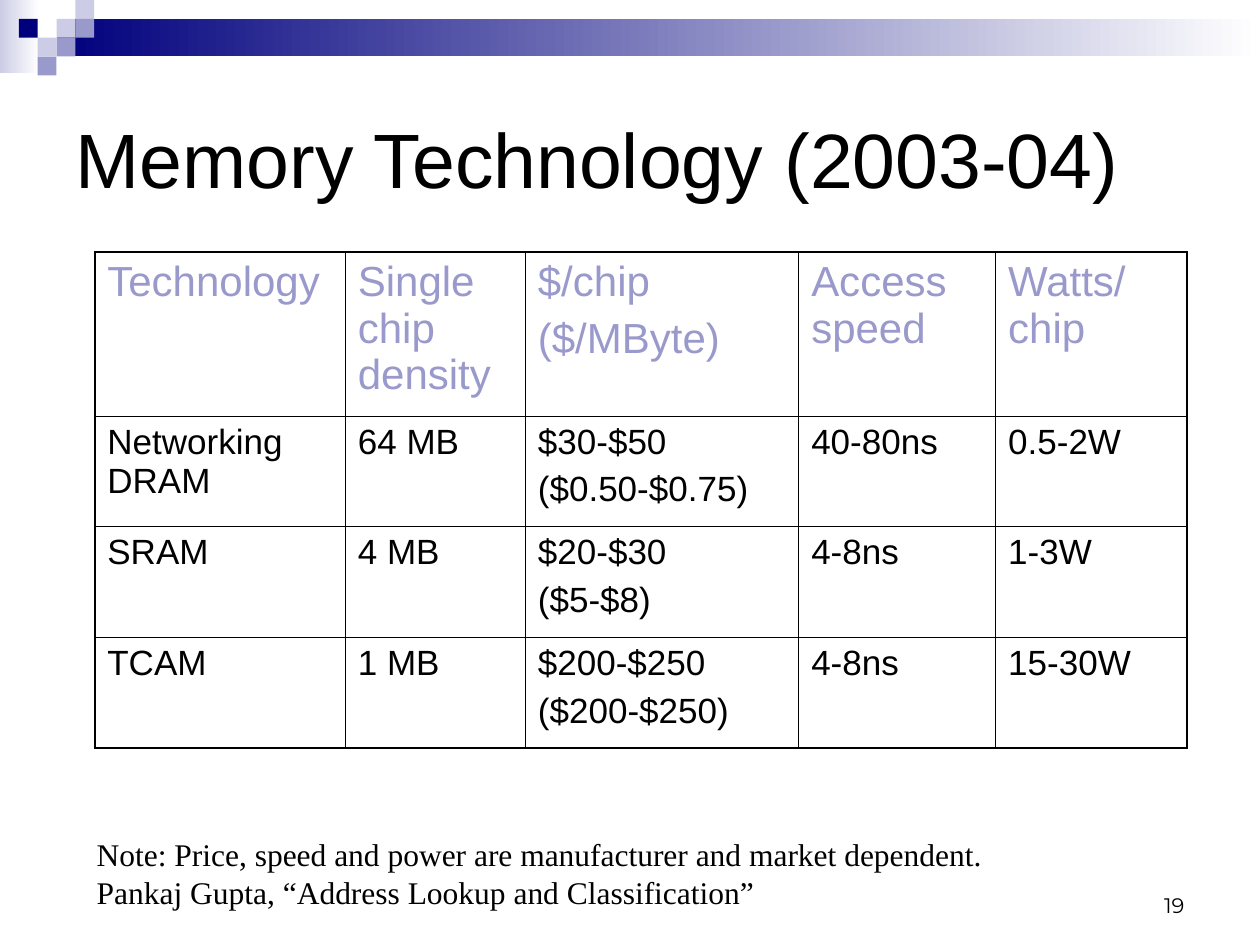
from typing import NamedTuple

from pptx import Presentation, util as u
from pptx.dml.color import RGBColor
from pptx.enum import shapes, text
from pptx.oxml import parse_xml
from pptx.oxml.ns import nsdecls

COLORS = {
    "black": "000000",
    "white": "FFFFFF",
    "navy": "00007D",
    "lavender": "9999CC",
    "pale": "CCCCE6",
}
SQUARE = 0.38
THIN, THICK = 0.45, 1.08


class Square(NamedTuple):
    column: int
    row: int
    color: str


class Band(NamedTuple):
    left: float
    top: float
    width: float
    height: float
    color: str


BANDS = [
    Band(0, 0, 0.79, 1.47, "pale"),
    Band(1.14, SQUARE, 24.26, 0.76, "navy"),
]
SQUARES = [
    Square(3, 1, "pale"),
    Square(4, 0, "pale"),
    Square(4, 1, "lavender"),
    Square(2, 2, "pale"),
    Square(1, 1, "navy"),
    Square(3, 2, "lavender"),
    Square(2, 3, "lavender"),
]
ROWS = [
    ["Technology", "Single chip density", "$/chip\n($/MByte)", "Access speed", "Watts/chip"],
    ["Networking DRAM", "64 MB", "$30-$50\n($0.50-$0.75)", "40-80ns", "0.5-2W"],
    ["SRAM", "4 MB", "$20-$30\n($5-$8)", "4-8ns", "1-3W"],
    ["TCAM", "1 MB", "$200-$250\n($200-$250)", "4-8ns", "15-30W"],
]
COLUMN_WIDTHS = [5.05, 3.63, 5.51, 3.97, 3.86]
ROW_HEIGHTS = [3.31, 2.23, 2.23, 2.23]


def rgb(color: str) -> RGBColor:
    return RGBColor.from_string(COLORS[color])


def write_text(frame, content: str, *, size: float, font: str = "Arial",
               color: str = "black", align=text.PP_ALIGN.LEFT,
               anchor=text.MSO_ANCHOR.TOP, before: float = 0, wrap: bool = True) -> None:
    frame.word_wrap = wrap
    frame.vertical_anchor = anchor
    for index, line in enumerate(content.split("\n")):
        paragraph = frame.add_paragraph() if index else frame.paragraphs[0]
        paragraph.alignment = align
        paragraph.space_before = u.Pt(before)
        run = paragraph.add_run()
        run.text = line
        run.font.size = u.Pt(size)
        run.font.name = font
        run.font.color.rgb = rgb(color)


def add_rectangle(slide, left: float, top: float, width: float, height: float):
    shape = slide.shapes.add_shape(shapes.MSO_SHAPE.RECTANGLE, u.Cm(left), u.Cm(top),
                                   u.Cm(width), u.Cm(height))
    shape.shadow.inherit = False
    shape.line.fill.background()
    return shape


def draw_band(slide, band: Band) -> None:
    fill = add_rectangle(slide, band.left, band.top, band.width, band.height).fill
    fill.gradient()
    fill.gradient_angle = 180
    for stop, color in zip(fill.gradient_stops, ("white", band.color)):
        stop.color.rgb = rgb(color)


def draw_square(slide, square: Square) -> None:
    shape = add_rectangle(slide, square.column * SQUARE, square.row * SQUARE, SQUARE, SQUARE)
    shape.fill.solid()
    shape.fill.fore_color.rgb = rgb(square.color)


def set_borders(cell, widths: dict[str, float]) -> None:
    properties = cell._tc.get_or_add_tcPr()
    for index, (side, width) in enumerate(widths.items()):
        properties.insert(index, parse_xml(
            f'<a:{side} {nsdecls("a")} w="{u.Pt(width)}"><a:solidFill>'
            f'<a:srgbClr val="{COLORS["black"]}"/></a:solidFill></a:{side}>'))


def draw_table(slide) -> None:
    last_row, last_column = len(ROWS) - 1, len(COLUMN_WIDTHS) - 1
    table = slide.shapes.add_table(len(ROWS), len(COLUMN_WIDTHS), u.Cm(1.91), u.Cm(5.08),
                                   u.Cm(sum(COLUMN_WIDTHS)), u.Cm(sum(ROW_HEIGHTS))).table
    table.first_row = table.horz_banding = False
    for column, width in zip(table.columns, COLUMN_WIDTHS):
        column.width = u.Cm(width)
    for row, height in zip(table.rows, ROW_HEIGHTS):
        row.height = u.Cm(height)
    for r, values in enumerate(ROWS):
        style = dict(size=20, before=5) if r else dict(size=24, before=6, color="lavender")
        for c, value in enumerate(values):
            cell = table.cell(r, c)
            cell.fill.background()
            write_text(cell.text_frame, value, **style)
            set_borders(cell, {
                "lnL": THIN if c else THICK,
                "lnR": THICK if c == last_column else THIN,
                "lnT": THIN if r else THICK,
                "lnB": THICK if r == last_row else THIN,
            })


def add_text(slide, content: str, left: float, top: float, width: float, height: float,
             **style) -> None:
    box = slide.shapes.add_textbox(u.Cm(left), u.Cm(top), u.Cm(width), u.Cm(height))
    write_text(box.text_frame, content, **style)


def main() -> None:
    presentation = Presentation()
    presentation.slide_width, presentation.slide_height = u.Cm(25.4), u.Cm(19.05)
    slide = presentation.slides.add_slide(presentation.slide_layouts[5])

    for band in BANDS:
        draw_band(slide, band)
    for square in SQUARES:
        draw_square(slide, square)

    title = slide.shapes.title
    title.left, title.top, title.width, title.height = map(u.Cm, (1.27, 1.27, 22.86, 3.81))
    title.text_frame.auto_size = text.MSO_AUTO_SIZE.NONE
    write_text(title.text_frame, "Memory Technology (2003-04)", size=44,
               anchor=text.MSO_ANCHOR.MIDDLE)

    draw_table(slide)
    add_text(slide, "Note: Price, speed and power are manufacturer and market dependent.\n"
             "Pankaj Gupta, “Address Lookup and Classification”",
             1.7, 16.71, 18.36, 1.78, size=18, font="Times New Roman", wrap=False)
    add_text(slide, "19", 18.21, 17.35, 5.92, 1.27, size=12, font="Montserrat",
             align=text.PP_ALIGN.RIGHT, anchor=text.MSO_ANCHOR.BOTTOM)
    presentation.save("out.pptx")


if __name__ == "__main__":
    main()
